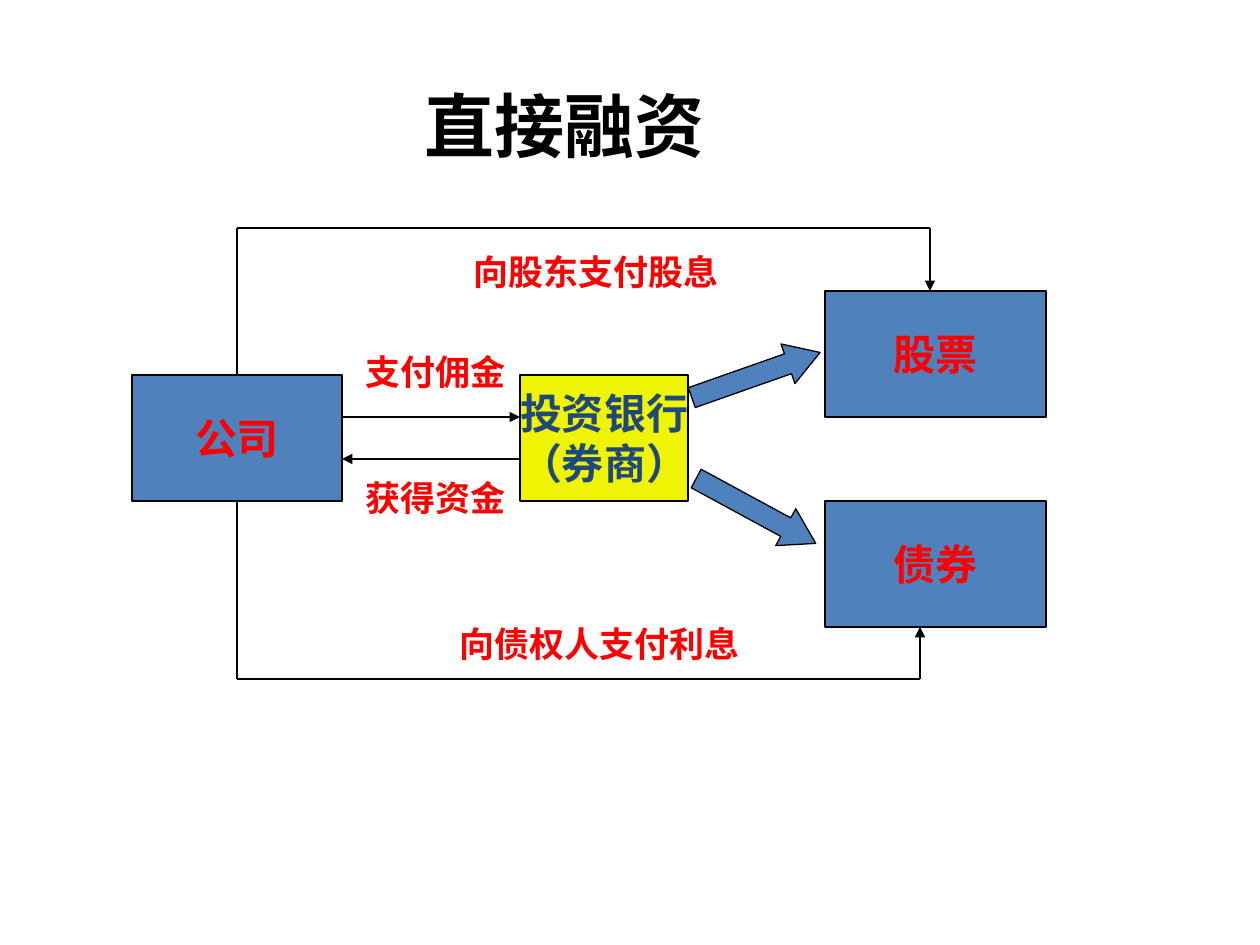
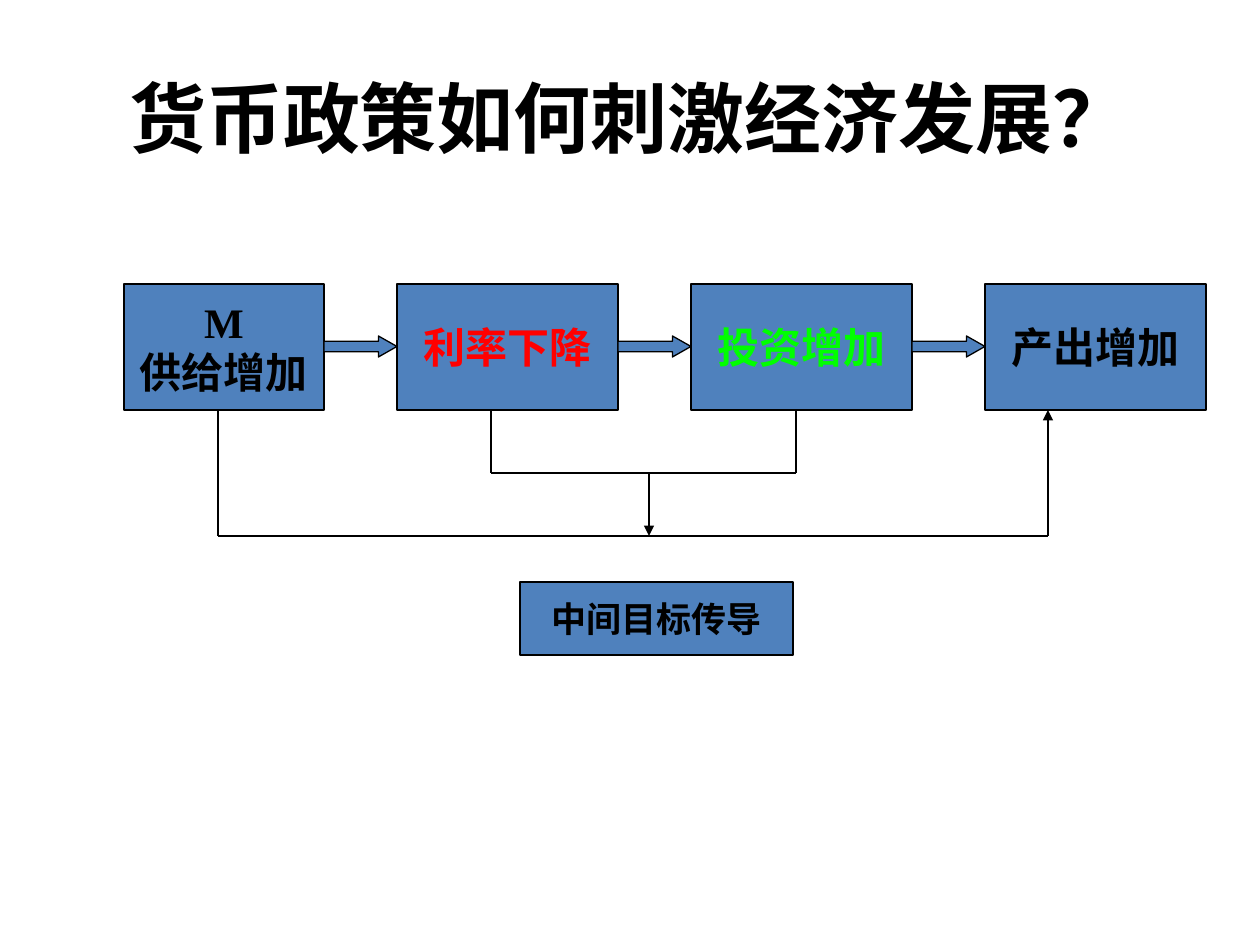
"""Build two finance diagrams: direct financing and monetary policy transmission."""
from itertools import pairwise

from lxml import etree
from pptx import Presentation
from pptx.dml.color import RGBColor
from pptx.enum.shapes import MSO_CONNECTOR, MSO_SHAPE
from pptx.enum.text import MSO_ANCHOR, PP_ALIGN
from pptx.oxml.ns import qn
from pptx.util import Pt

RECTANGLE, RIGHT_ARROW = MSO_SHAPE.RECTANGLE, MSO_SHAPE.RIGHT_ARROW
STRAIGHT = MSO_CONNECTOR.STRAIGHT
TOP, MIDDLE = MSO_ANCHOR.TOP, MSO_ANCHOR.MIDDLE
LEFT, CENTER = PP_ALIGN.LEFT, PP_ALIGN.CENTER

EMU_PER_PX = 914400 / 126
BLUE, YELLOW, NAVY = "4F81BD", "EEF404", "1F497D"
RED, GREEN, BLACK = "FF0000", "00FF00", "000000"
SERIF, SANS = "Times New Roman", "Calibri"
LINE_WIDTH = Pt(0.75)


def emu(*lengths):
    return [round(length * EMU_PER_PX) for length in lengths]


def write_text(shape, text, size, colour, align, anchor, wrap, font_name=SERIF):
    frame = shape.text_frame
    frame.text = text
    frame.word_wrap = wrap
    frame.vertical_anchor = anchor
    font_format = {"name": font_name, "size": Pt(size), "bold": True}
    for paragraph in frame.paragraphs:
        paragraph.alignment = align
        for run in paragraph.runs:
            for attribute, value in font_format.items():
                setattr(run.font, attribute, value)
            run.font.color.rgb = RGBColor.from_string(colour)


presentation = Presentation()
presentation.slide_width, presentation.slide_height = emu(1260, 945)
blank_layout = presentation.slide_layouts[6]
financing = presentation.slides.add_slide(blank_layout)
policy = presentation.slides.add_slide(blank_layout)

titles = [
    (financing, (412, 76, 305, 97), "直接融资", 40, TOP, False, SERIF),
    (policy, (63, 38, 1134, 158), "货币政策如何刺激经济发展？", 44, MIDDLE, True, SANS),
]
for slide, box, text, size, anchor, wrap, font_name in titles:
    title = slide.shapes.add_textbox(*emu(*box))
    write_text(title, text, size, BLACK, CENTER, anchor, wrap, font_name)

blocks = [
    (financing, (132, 375, 210, 126), BLUE, "公司", 24, RED),
    (financing, (520, 375, 168, 126), YELLOW, "投资银行\n（券商）", 24, NAVY),
    (financing, (825, 291, 221, 126), BLUE, "股票", 24, RED),
    (financing, (825, 501, 221, 126), BLUE, "债券", 24, RED),
    (policy, (124, 284, 200, 126), BLUE, "M\n供给增加", 24, BLACK),
    (policy, (520, 582, 273, 73), BLUE, "中间目标传导", 20, BLACK),
]
arrows = [
    (financing, (688, 354, 136, 42), 340.6, 0.81),
    (financing, (688, 490, 136, 42), 28.5, 0.81),
]
policy_step = 294
effects = [("利率下降", RED), ("投资增加", GREEN), ("产出增加", BLACK)]
for index, (text, colour) in enumerate(effects):
    shift = index * policy_step
    blocks.append((policy, (397 + shift, 284, 221, 126), BLUE, text, 24, colour))
    arrows.append((policy, (324 + shift, 336, 73, 21), 0, 0.88))

outlined_shapes = []
for slide, box, fill, text, size, colour in blocks:
    block = slide.shapes.add_shape(RECTANGLE, *emu(*box))
    write_text(block, text, size, colour, CENTER, MIDDLE, False)
    outlined_shapes.append((block, fill))

for slide, box, rotation, head_length in arrows:
    arrow = slide.shapes.add_shape(RIGHT_ARROW, *emu(*box))
    arrow.rotation = rotation
    arrow.adjustments[1] = head_length
    outlined_shapes.append((arrow, BLUE))

for shape, fill in outlined_shapes:
    shape.shadow.inherit = False
    shape.fill.solid()
    shape.fill.fore_color.rgb = RGBColor.from_string(fill)
    shape.line.color.rgb = RGBColor.from_string(BLACK)
    shape.line.width = LINE_WIDTH

flow_labels = [
    ((353, 344, 166, 55), "支付佣金"),
    ((353, 470, 166, 55), "获得资金"),
    ((447, 616, 347, 55), "向债权人支付利息"),
    ((461, 244, 294, 55), "向股东支付股息"),
]
for box, text in flow_labels:
    label = financing.shapes.add_textbox(*emu(*box))
    write_text(label, text, 20, RED, LEFT, TOP, True)

routes = [
    (financing, [(342, 417), (520, 417)], True),
    (financing, [(520, 459), (342, 459)], True),
    (financing, [(237, 375), (237, 228), (930, 228), (930, 291)], True),
    (financing, [(237, 501), (237, 679), (920, 679), (920, 627)], True),
    (policy, [(218, 410), (218, 536), (1048, 536), (1048, 410)], True),
    (policy, [(491, 410), (491, 473), (796, 473), (796, 410)], False),
    (policy, [(649, 473), (649, 536)], True),
]
for slide, points, has_arrowhead in routes:
    for start, end in pairwise(points):
        connector = slide.shapes.add_connector(STRAIGHT, *emu(*start, *end))
        connector.line.color.rgb = RGBColor.from_string(BLACK)
        connector.line.width = LINE_WIDTH
        etree.SubElement(connector.element.spPr, qn("a:effectLst"))
    if has_arrowhead:
        etree.SubElement(connector.get_or_add_ln(), qn("a:tailEnd"), type="triangle")

presentation.save("out.pptx")
